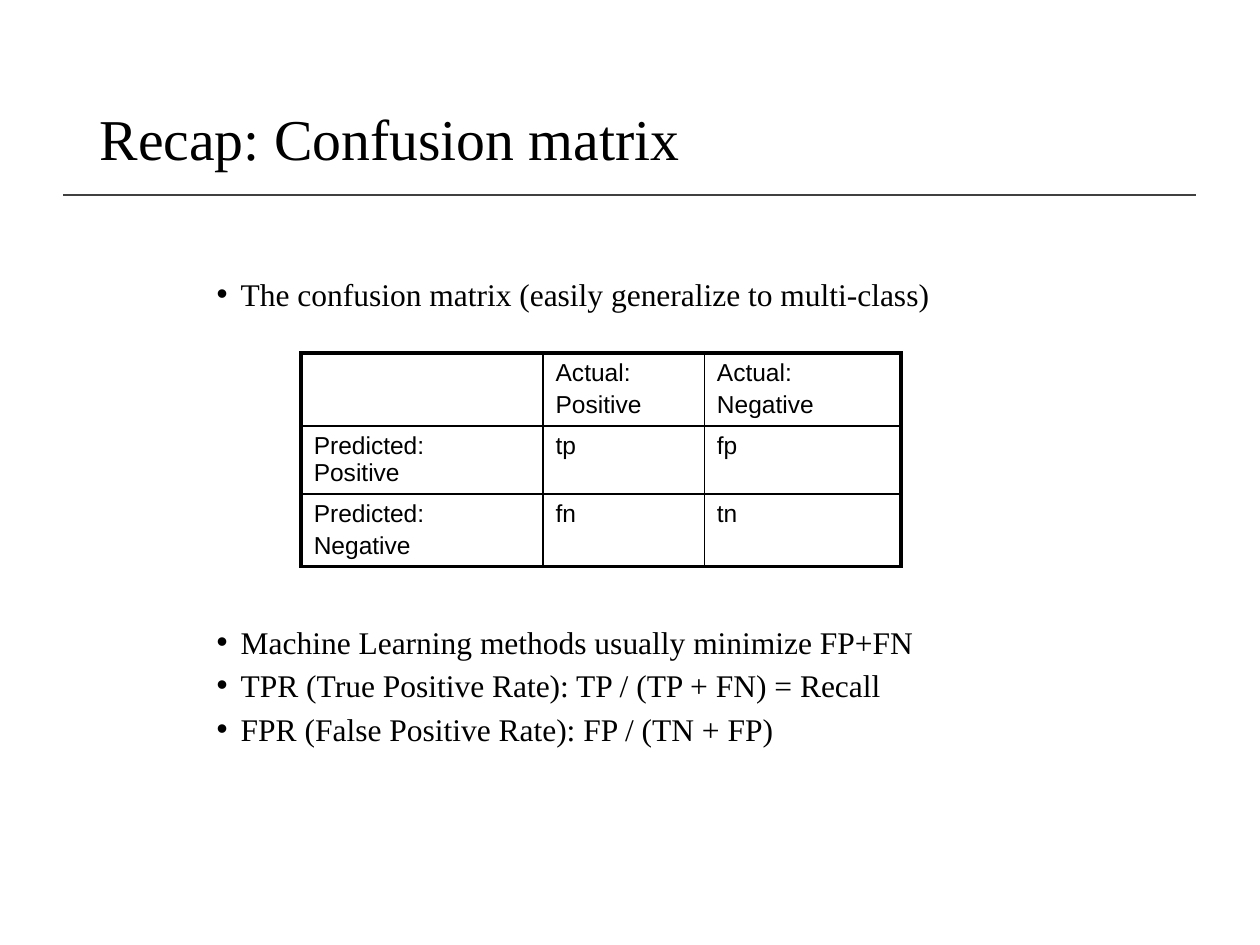
"""Build the confusion matrix recap slide."""
from lxml import etree
from pptx import Presentation
from pptx import util as u
from pptx.dml.color import RGBColor
from pptx.enum import shapes, text
from pptx.oxml import ns

BLACK = "000000"
SERIF, SANS = "Times New Roman", "Arial"
OUTER, INNER = 2.25, 1

BULLETS = [
    ("The confusion matrix (easily generalize to multi-class)", 0),
    ("Machine Learning methods usually minimize FP+FN", 181.5),
    ("TPR (True Positive Rate): TP / (TP + FN) = Recall", 7.5),
    ("FPR (False Positive Rate): FP / (TN + FP)", 7.5),
]
MATRIX = [
    ["", "Actual:\nPositive", "Actual:\nNegative"],
    ["Predicted: \vPositive", "tp", "fp"],
    ["Predicted:\nNegative", "fn", "tn"],
]
COLUMN_WIDTHS = [1.92, 1.28, 1.56]
ROW_HEIGHTS = [0.58, 0.54, 0.57]


def colour(value):
    """Return a colour from a hex string."""
    return RGBColor.from_string(value)


def apply(target, values):
    """Set each named attribute on the target."""
    for name, value in values.items():
        setattr(target, name, value)


def place(box, left, top, width, height):
    """Set position and size in inches."""
    names = ("left", "top", "width", "height")
    apply(box, dict(zip(names, map(u.Inches, (left, top, width, height)))))


def style_text(para, font, size):
    """Format every span of a paragraph."""
    for span in para.runs:
        apply(span.font, {"name": font, "size": u.Pt(size), "bold": False})
        span.font.color.rgb = colour(BLACK)


def add_rule(page, left, right, y):
    """Draw the horizontal line below the title."""
    ends = [u.Inches(value) for value in (left, y, right, y)]
    rule = page.shapes.add_connector(shapes.MSO_CONNECTOR.STRAIGHT, *ends)
    rule.line.color.rgb = colour("404040")
    rule.line.width = u.Pt(1)
    etree.SubElement(rule._element.spPr, ns.qn("a:effectLst"))


def fill_title(box, words):
    """Place and format the title."""
    place(box, 0.69, 0.4, 8.62, 1.45)
    frame = box.text_frame
    frame.text = words
    apply(frame, {"vertical_anchor": text.MSO_ANCHOR.MIDDLE,
                  "auto_size": text.MSO_AUTO_SIZE.NONE, "word_wrap": True})
    para = frame.paragraphs[0]
    apply(para, {"alignment": text.PP_ALIGN.LEFT, "line_spacing": 0.9})
    style_text(para, SERIF, 33)


def add_bullet(para):
    """Give a paragraph a round bullet and a hanging indent."""
    props = para._p.get_or_add_pPr()
    indent = u.Inches(0.19)
    props.set("marL", str(indent))
    props.set("indent", str(-indent))
    font = etree.SubElement(props, ns.qn("a:buFont"))
    font.set("typeface", SANS)
    etree.SubElement(props, ns.qn("a:buChar")).set("char", "•")


def fill_body(box, bullets):
    """Place the bullet list, leaving room for the table."""
    place(box, 1.62, 2.19, 6.81, 3.94)
    frame = box.text_frame
    apply(frame, {"vertical_anchor": text.MSO_ANCHOR.TOP,
                  "auto_size": text.MSO_AUTO_SIZE.NONE, "word_wrap": True})
    frame.text = "\n".join(words for words, _ in bullets)
    for para, (_, gap) in zip(frame.paragraphs, bullets):
        add_bullet(para)
        apply(para, {"line_spacing": 0.8, "space_before": u.Pt(gap),
                     "alignment": text.PP_ALIGN.LEFT})
        style_text(para, SERIF, 18)


def add_border(cell, side, width):
    """Draw one border of a cell."""
    props = cell._tc.get_or_add_tcPr()
    line = etree.SubElement(props, ns.qn("a:ln" + side))
    line.set("w", str(u.Pt(width)))
    fill = etree.SubElement(line, ns.qn("a:solidFill"))
    etree.SubElement(fill, ns.qn("a:srgbClr")).set("val", BLACK)


def fill_cell(cell, words, edges):
    """Write a cell, its borders and its empty fill."""
    for side, is_outer in edges.items():
        add_border(cell, side, OUTER if is_outer else INNER)
    cell.fill.background()
    cell.text_frame.text = words
    for index, para in enumerate(cell.text_frame.paragraphs):
        para.space_before = u.Pt(2.8 if index else 0)
        style_text(para, SANS, 14)


def add_matrix(page, rows):
    """Add the confusion matrix as a table."""
    last_row, last_column = len(rows) - 1, len(rows[0]) - 1
    area = [u.Inches(value) for value in
            (2.39, 2.8, sum(COLUMN_WIDTHS), sum(ROW_HEIGHTS))]
    table = page.shapes.add_table(len(rows), len(rows[0]), *area).table
    apply(table, {"first_row": False, "horz_banding": False})
    for column, width in zip(table.columns, COLUMN_WIDTHS):
        column.width = u.Inches(width)
    for row, height in zip(table.rows, ROW_HEIGHTS):
        row.height = u.Inches(height)
    for r, row in enumerate(rows):
        for c, words in enumerate(row):
            edges = {"L": c == 0, "R": c == last_column,
                     "T": r == 0, "B": r == last_row}
            fill_cell(table.cell(r, c), words, edges)


def main():
    """Build and save the deck."""
    deck = Presentation()
    apply(deck, {"slide_width": u.Inches(10), "slide_height": u.Inches(7.5)})
    page = deck.slides.add_slide(deck.slide_layouts[1])
    add_rule(page, 0.5, 9.49, 1.55)
    fill_title(page.shapes.title, "Recap: Confusion matrix")
    fill_body(page.placeholders[1], BULLETS)
    add_matrix(page, MATRIX)
    deck.save("out.pptx")


if __name__ == "__main__":
    main()
